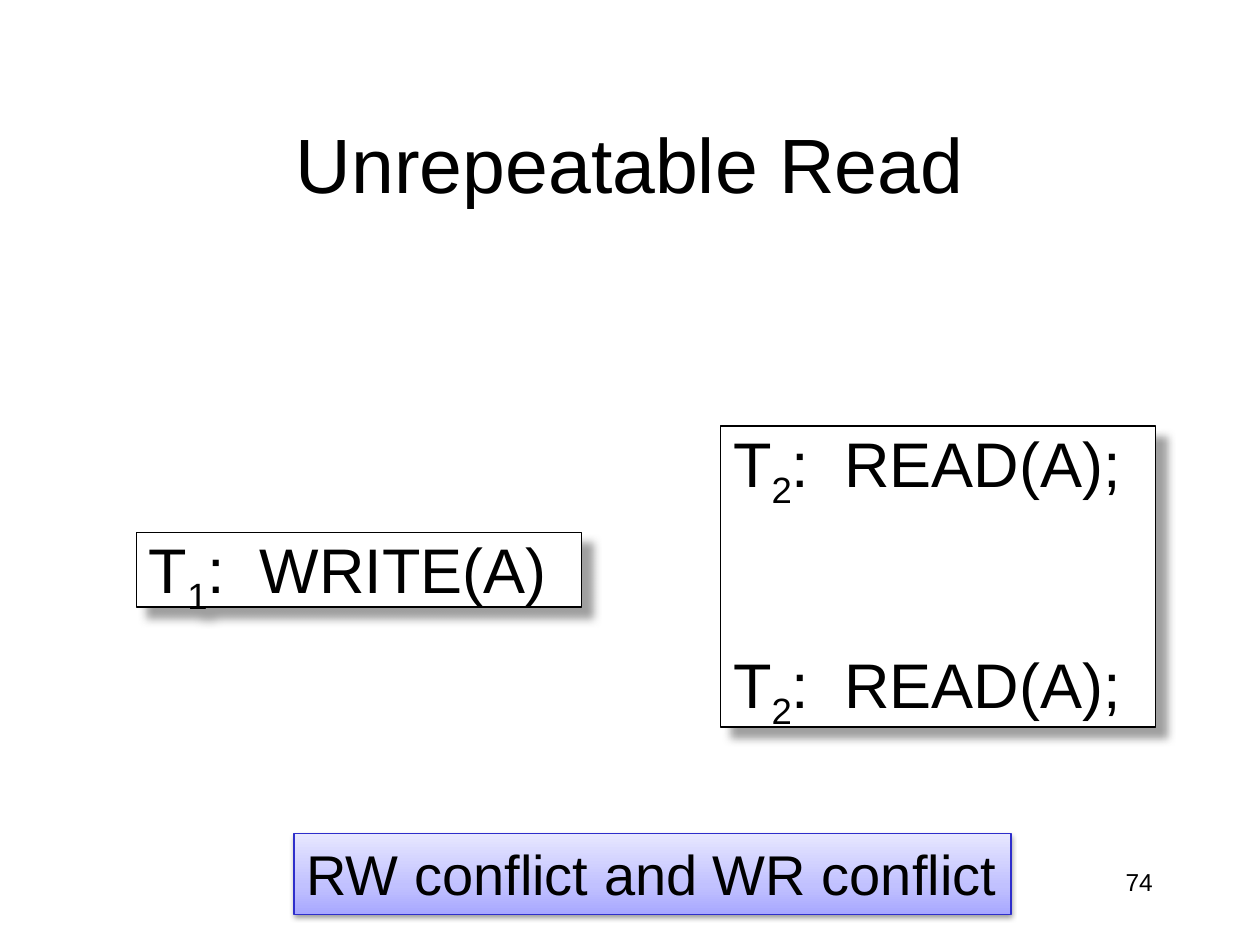
from dataclasses import dataclass
from copy import deepcopy
from lxml.etree import SubElement
from pptx import Presentation
from pptx.dml.color import RGBColor
from pptx.enum.shapes import MSO_SHAPE
from pptx.enum.text import MSO_ANCHOR, PP_ALIGN
from pptx.oxml.ns import qn
from pptx.util import Cm, Pt


@dataclass(frozen=True)
class Theme:
    font: str = "Arial"
    ink: str = "000000"
    paper: str = "FFFFFF"
    edge: str = "2E2ECB"
    shade: str = "808080"
    fade: tuple = ((0, "A7A7FF"), (0.35, "C1C1FF"), (1, "E7E7FF"))
    title: int = 44
    step: int = 36
    note: int = 32
    page: int = 14


THEME = Theme()


def color(code):
    return RGBColor.from_string(code)


def style(para, size, align=PP_ALIGN.LEFT):
    para.alignment = align
    para.font.name = THEME.font
    para.font.size = Pt(size)
    para.font.color.rgb = color(THEME.ink)


def add_text(slide, text, place, size, align, anchor=MSO_ANCHOR.TOP):
    frame = slide.shapes.add_textbox(*map(Cm, place)).text_frame
    frame.word_wrap = True
    frame.vertical_anchor = anchor
    frame.text = text
    style(frame.paragraphs[0], size, align)


def add_shadow(box, code, alpha, blur, dist, angle):
    box.shadow.inherit = False
    effects = box._element.spPr.find(qn("a:effectLst"))
    outer = SubElement(
        effects, qn("a:outerShdw"), blurRad=str(Pt(blur)), dist=str(Pt(dist)),
        dir=str(angle * 60000), algn="ctr", rotWithShape="0")
    tint = SubElement(outer, qn("a:srgbClr"), val=code)
    SubElement(tint, qn("a:alpha"), val=str(alpha * 1000))


def add_box(slide, place, line, shadow):
    box = slide.shapes.add_shape(MSO_SHAPE.RECTANGLE, *map(Cm, place))
    box.line.color.rgb = color(line)
    box.line.width = Pt(0.75)
    add_shadow(box, *shadow)
    box.text_frame.word_wrap = False
    box.text_frame.vertical_anchor = MSO_ANCHOR.TOP
    return box


def add_steps(slide, place, steps, gap=0):
    box = add_box(slide, place, THEME.ink, (THEME.shade, 75, 5, 8.5, 45))
    box.fill.solid()
    box.fill.fore_color.rgb = color(THEME.paper)
    frame = box.text_frame
    for index, (number, action) in enumerate(steps):
        para = frame.add_paragraph() if index else frame.paragraphs[0]
        style(para, THEME.step)
        para.line_spacing = 0.8
        para.space_before = Pt(gap if index else 0)
        for text, base in (("T", 0), (number, -25000), (action, 0)):
            run = para.add_run()
            run.text = text
            if base:
                run.font._element.set("baseline", str(base))


def add_note(slide, text, place):
    box = add_box(slide, place, THEME.edge, (THEME.ink, 38, 3.1, 1.6, 90))
    box.fill.gradient()
    box.fill.gradient_angle = 90
    stops = box._element.spPr.find(".//" + qn("a:gsLst"))
    stops.append(deepcopy(stops[-1]))
    for stop, (point, code) in zip(box.fill.gradient_stops, THEME.fade):
        stop.position = point
        stop.color.rgb = color(code)
    box.text_frame.text = text
    style(box.text_frame.paragraphs[0], THEME.note)


def main():
    deck = Presentation()
    deck.slide_width, deck.slide_height = Cm(25.4), Cm(19.05)
    slide = deck.slides.add_slide(deck.slide_layouts[6])
    add_text(slide, "Unrepeatable Read", (1.9, 1.7, 21.6, 3.18),
             THEME.title, PP_ALIGN.CENTER, MSO_ANCHOR.MIDDLE)
    add_steps(slide, (2.75, 10.74, 8.98, 1.5), [("1", ":  WRITE(A) ")])
    add_steps(slide, (14.53, 8.59, 8.76, 6.07),
              [("2", ":  READ(A);"), ("2", ":  READ(A); ")], 87)
    add_text(slide, "74", (18.21, 17.35, 5.28, 1.27),
             THEME.page, PP_ALIGN.RIGHT)
    add_note(slide, "RW conflict and WR conflict", (5.93, 16.8, 14.45, 1.63))
    deck.save("out.pptx")


main()
